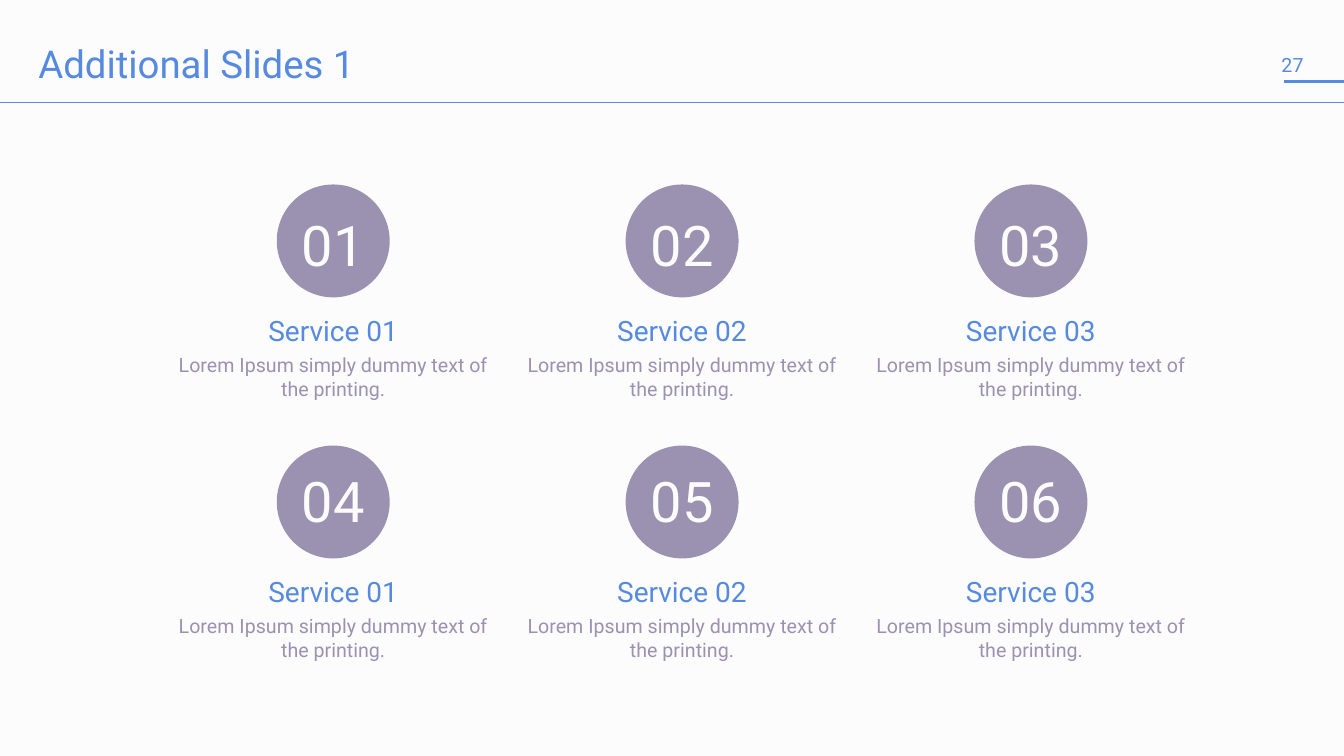
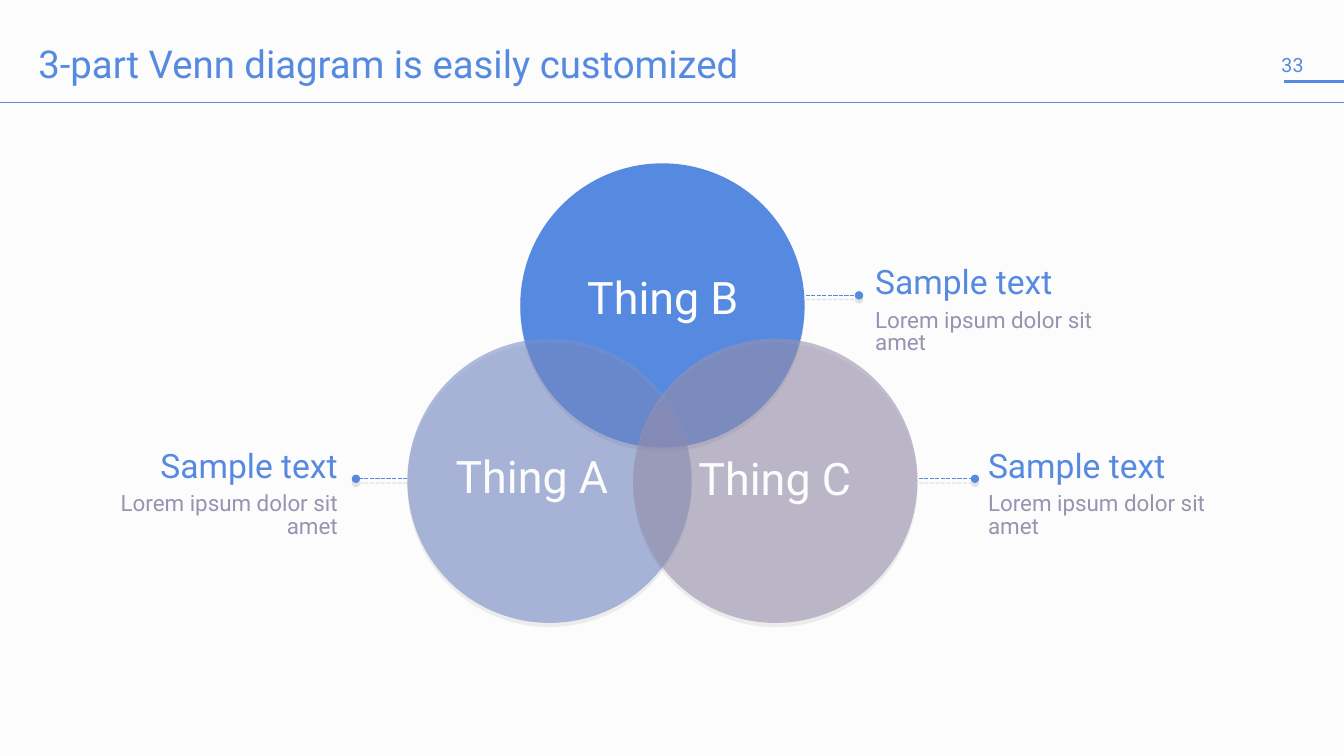
from lxml.etree import SubElement
from pptx import Presentation
from pptx.dml.color import RGBColor
from pptx.enum.dml import MSO_LINE
from pptx.enum.shapes import MSO_CONNECTOR, MSO_SHAPE
from pptx.enum.text import MSO_ANCHOR, MSO_AUTO_SIZE, PP_ALIGN
from pptx.oxml.ns import qn
from pptx.util import Inches, Pt

BLUE = RGBColor(0x56, 0x8A, 0xE0)
PERIWINKLE = RGBColor(0x78, 0x8E, 0xC8)
MAUVE = RGBColor(0x9A, 0x92, 0xB0)
PAPER = RGBColor(0xFC, 0xFC, 0xFC)
FONT = "Roboto"
SLIDE_WIDTH, SLIDE_HEIGHT = 13.33, 7.5
TITLE_ONLY = 5

CAPTION_FORMAT = {"line_spacing": Pt(17), "alignment": PP_ALIGN.CENTER}


def set_attributes(target, values):
    for name, value in values.items():
        setattr(target, name, value)


def set_box(shape, left, top, width, height):
    box = {"left": left, "top": top, "width": width, "height": height}
    set_attributes(shape, {name: Inches(value) for name, value in box.items()})


def fill_text(shape, lines, paragraph_format, inset=0.05, gap=0, **frame_format):
    """Write lines of (text, size, colour), with gap points between them."""
    frame = shape.text_frame
    margins = ("margin_left", "margin_top", "margin_right", "margin_bottom")
    set_attributes(frame, {
        "word_wrap": True, "auto_size": MSO_AUTO_SIZE.SHAPE_TO_FIT_TEXT,
        "vertical_anchor": MSO_ANCHOR.TOP,
        **dict.fromkeys(margins, Inches(inset)), **frame_format})
    for index, (text, size, colour) in enumerate(lines):
        paragraph = frame.add_paragraph() if index else frame.paragraphs[0]
        set_attributes(paragraph, paragraph_format)
        paragraph.space_before = Pt(gap if index else 0)
        run = paragraph.add_run()
        run.text = text
        set_attributes(run.font, {"name": FONT, "size": Pt(size)})
        run.font.color.rgb = colour


def add_text(shapes, box, lines, paragraph_format, **options):
    textbox = shapes.add_textbox(*map(Inches, box))
    fill_text(textbox, lines, paragraph_format, **options)


def set_effects(shape, shadow):
    """Replace the theme shadow by a faint drop shadow, or by none."""
    effects = SubElement(shape._element.spPr, qn("a:effectLst"))
    if shadow:
        drop = SubElement(effects, qn("a:outerShdw"), blurRad="0",
                          dist=str(Pt(3)), dir="5400000", algn="t", rotWithShape="0")
        black = SubElement(drop, qn("a:srgbClr"), val="000000")
        SubElement(black, qn("a:alpha"), val="10000")


def add_circle(shapes, left, top, diameter, colour, opacity=100, shadow=False):
    circle = shapes.add_shape(MSO_SHAPE.OVAL, *map(Inches, (left, top, diameter, diameter)))
    circle.fill.solid()
    circle.fill.fore_color.rgb = colour
    circle.line.fill.background()
    if opacity < 100:
        fill_colour = circle._element.spPr.find(f".//{qn('a:srgbClr')}")
        SubElement(fill_colour, qn("a:alpha"), val=str(opacity * 1000))
    set_effects(circle, shadow)


def add_line(shapes, start, end, y, width, callout=False):
    """Draw a level line; a callout is dashed, dotted at its end and shadowed."""
    line = shapes.add_connector(
        MSO_CONNECTOR.STRAIGHT, *map(Inches, (start, y, end, y)))
    line.line.color.rgb = BLUE
    line.line.width = Pt(width)
    if callout:
        line.line.dash_style = MSO_LINE.SQUARE_DOT
        SubElement(line.line._get_or_add_ln(), qn("a:tailEnd"), type="oval")
    set_effects(line, callout)


def add_titled_slide(presentation, title, number):
    slide = presentation.slides.add_slide(presentation.slide_layouts[TITLE_ONLY])
    set_box(slide.shapes.title, 0.33, 0.45, 11.43, 0.54)
    fill_text(slide.shapes.title, [(title, 27.4, BLUE)],
              {"line_spacing": 0.75, "alignment": PP_ALIGN.LEFT},
              auto_size=MSO_AUTO_SIZE.NONE)
    add_line(slide.shapes, 12.73, SLIDE_WIDTH, 0.81, 2)
    add_line(slide.shapes, 0, SLIDE_WIDTH, 1.02, 0.5)
    add_text(slide.shapes, (12.64, 0.46, 0.36, 0.37), [(number, 14, BLUE)], {},
             inset=0.07, word_wrap=False, vertical_anchor=MSO_ANCHOR.MIDDLE)
    return slide


def add_service(slide, left, top, number, name, number_drop):
    shapes = slide.shapes.add_group_shape().shapes
    width, diameter, number_width = 3.23, 1.12, 0.79
    add_circle(shapes, left + (width - diameter) / 2, top, diameter, MAUVE)
    add_text(shapes,
             (left + (width - number_width) / 2, top + number_drop, number_width, 0.54),
             [(number, 40, PAPER)],
             {"line_spacing": 0.8, "alignment": PP_ALIGN.CENTER},
             inset=0, vertical_anchor=MSO_ANCHOR.MIDDLE)
    add_text(shapes, (left, top + 1.33, width, 0.86),
             [(name, 20, BLUE),
              ("Lorem Ipsum simply dummy text of the printing.", 14, MAUVE)],
             CAPTION_FORMAT, gap=4)


def build_services(presentation):
    slide = add_titled_slide(presentation, "Additional Slides 1", "27")
    columns = 3
    for row, (top, number_drop) in enumerate([(1.83, 0.38), (4.42, 0.33)]):
        for column in range(columns):
            add_service(slide, 1.69 + 3.46 * column, top,
                        f"{row * columns + column + 1:02}",
                        f"Service {column + 1:02}", number_drop)


def add_callout(slide, left, top, line_start, line_end, alignment=PP_ALIGN.LEFT):
    add_text(slide.shapes, (left, top, 2.7, 0.68),
             [("Sample text", 24, BLUE), ("Lorem ipsum dolor sit amet", 16, MAUVE)],
             {"line_spacing": 0.85, "alignment": alignment}, inset=0, gap=6)
    add_line(slide.shapes, line_start, line_end, top + 0.28, 1, callout=True)


def build_venn(presentation):
    slide = add_titled_slide(
        presentation, "3-part Venn diagram is easily customized", "33")
    circles = [(5.16, 1.62, BLUE, 100), (4.04, 3.36, PERIWINKLE, 60),
               (6.28, 3.36, MAUVE, 60)]
    for left, top, colour, opacity in circles:
        add_circle(slide.shapes, left, top, 2.82, colour, opacity, shadow=True)
    labels = [("Thing A", 4.25, 4.44), ("Thing B", 5.55, 2.67), ("Thing C", 6.66, 4.46)]
    for label, left, top in labels:
        add_text(slide.shapes, (left, top, 2.05, 0.63), [(label, 32, PAPER)],
                 {"line_spacing": 0.95, "alignment": PP_ALIGN.CENTER})
    add_callout(slide, 8.68, 2.65, 7.99, 8.52)
    add_callout(slide, 9.8, 4.47, 9.11, 9.67)
    add_callout(slide, 0.65, 4.47, 4.04, 3.53, PP_ALIGN.RIGHT)


def main():
    presentation = Presentation()
    set_attributes(presentation, {"slide_width": Inches(SLIDE_WIDTH),
                                  "slide_height": Inches(SLIDE_HEIGHT)})
    background = presentation.slide_master.background.fill
    background.solid()
    background.fore_color.rgb = PAPER
    build_services(presentation)
    build_venn(presentation)
    presentation.save("out.pptx")


if __name__ == "__main__":
    main()
